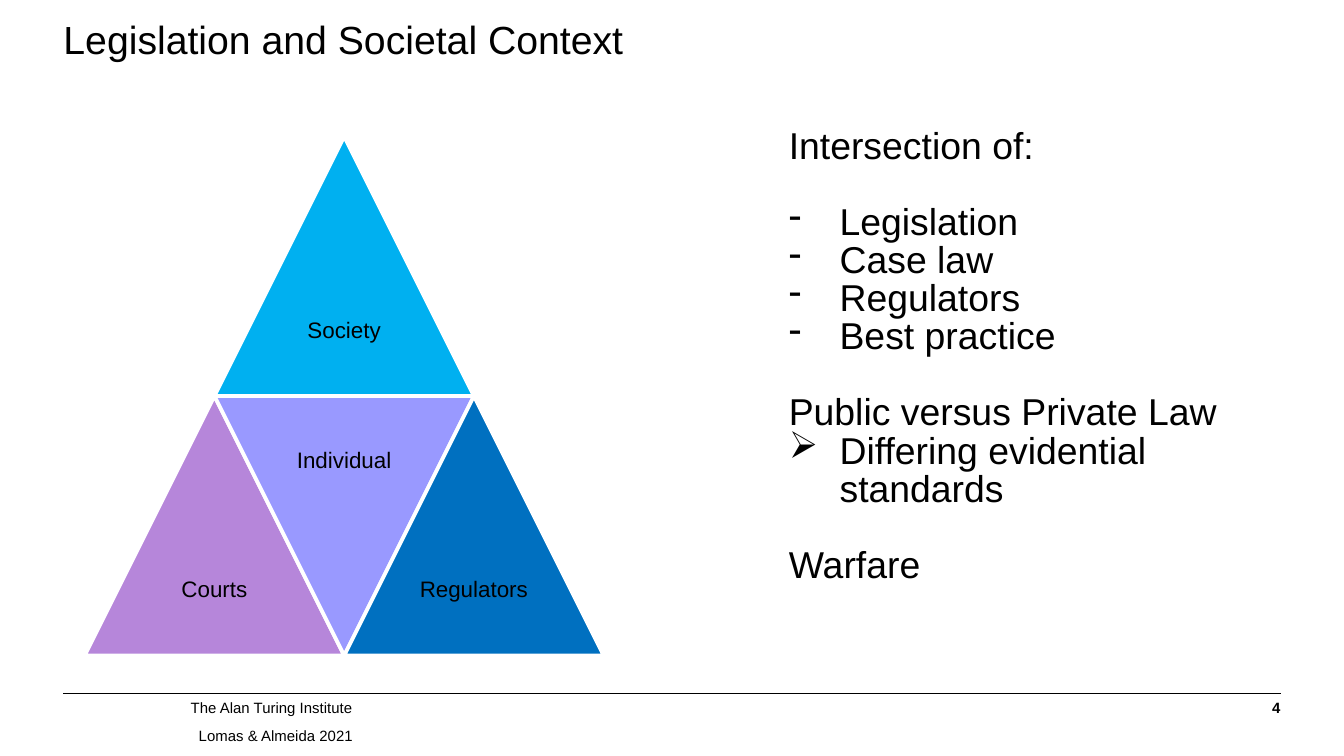
"""Build the slide on legislation and its societal context."""
import pptx
import pptx.util
import pptx.dml.color
import pptx.enum.shapes
import pptx.enum.text
import pptx.oxml.ns
from lxml import etree

Pt = pptx.util.Pt
RGB = pptx.dml.color.RGBColor
ALIGN = pptx.enum.text.PP_ALIGN
ANCHOR = pptx.enum.text.MSO_ANCHOR
SHAPE = pptx.enum.shapes.MSO_SHAPE
qn = pptx.oxml.ns.qn

BLACK = RGB(0x00, 0x00, 0x00)
WHITE = RGB(0xFF, 0xFF, 0xFF)
SKY = RGB(0x00, 0xB0, 0xF0)
PURPLE = RGB(0xB6, 0x86, 0xDA)
LAVENDER = RGB(0x99, 0x99, 0xFF)
BLUE = RGB(0x00, 0x70, 0xC0)


def add_text(p, text, size=12, bold=False, align=ALIGN.LEFT, line=1.0, before=0, after=0,
             bullet=None, indent=27.2):
    if bullet:
        pPr = p._p.get_or_add_pPr()
        pPr.set("marL", str(int(Pt(indent))))
        pPr.set("indent", str(-int(Pt(indent))))
        etree.SubElement(pPr, qn("a:buChar")).set("char", bullet)
    p.alignment = align
    p.line_spacing = line
    p.space_before = Pt(before)
    p.space_after = Pt(after)
    r = p.add_run()
    r.text = text
    r.font.name = "Arial"
    r.font.size = Pt(size)
    r.font.bold = bold
    r.font.color.rgb = BLACK


class Deck:
    def __init__(self, width, height):
        self.prs = pptx.Presentation()
        self.prs.slide_width = Pt(width)
        self.prs.slide_height = Pt(height)
        self.s = self.prs.slides.add_slide(self.prs.slide_layouts[5])

    def frame(self, sp, anchor, inset):
        tf = sp.text_frame
        tf.word_wrap = True
        tf.auto_size = pptx.enum.text.MSO_AUTO_SIZE.NONE
        tf.vertical_anchor = anchor
        tf.margin_left = tf.margin_right = Pt(inset[0])
        tf.margin_top = tf.margin_bottom = Pt(inset[1])
        return tf

    def title(self, text, x, y, w, h, **fmt):
        sp = self.s.shapes.title
        sp.left, sp.top, sp.width, sp.height = Pt(x), Pt(y), Pt(w), Pt(h)
        add_text(self.frame(sp, ANCHOR.TOP, (0, 0)).paragraphs[0], text, **fmt)

    def text(self, items, x, y, w, h, anchor=ANCHOR.TOP, inset=(0, 0), **fmt):
        sp = self.s.shapes.add_textbox(Pt(x), Pt(y), Pt(w), Pt(h))
        tf = self.frame(sp, anchor, inset)
        for i, (text, extra) in enumerate(items):
            p = tf.add_paragraph() if i else tf.paragraphs[0]
            add_text(p, text, **fmt, **extra)

    def triangle(self, x, y, size, color, flipped=False):
        sp = self.s.shapes.add_shape(SHAPE.ISOSCELES_TRIANGLE, Pt(x), Pt(y), Pt(size), Pt(size))
        sp.shadow.inherit = False
        sp.rotation = 180 if flipped else 0
        sp.fill.solid()
        sp.fill.fore_color.rgb = color
        sp.line.color.rgb = WHITE
        sp.line.width = Pt(2)

    def rule(self, x1, x2, y):
        kind = pptx.enum.shapes.MSO_CONNECTOR.STRAIGHT
        sp = self.s.shapes.add_connector(kind, Pt(x1), Pt(y), Pt(x2), Pt(y))
        sp.line.color.rgb = BLACK
        sp.line.width = Pt(0.5)
        etree.SubElement(sp._element.spPr, qn("a:effectLst"))


def main():
    deck = Deck(720, 405)
    deck.title("Legislation and Societal Context", 34, 12.2, 456.5, 71.3, size=21, line=0.85)

    deck.rule(34, 686, 371.5)
    deck.text([("The Alan Turing Institute", {})], 102.2, 372.2, 283.7, 11.5,
              anchor=ANCHOR.BOTTOM, size=8)
    deck.text([("4", {})], 643.7, 372.2, 42.3, 11.5,
              anchor=ANCHOR.BOTTOM, size=8, bold=True, align=ALIGN.RIGHT)
    deck.text([("Lomas & Almeida 2021", {})], 99.4, 385.9, 113, 17.3,
              inset=(7.2, 3.6), size=8, after=6)

    gap = {"before": 20.4}
    dash = {"bullet": "-"}
    deck.text([
        ("Intersection of:", {}),
        ("Legislation", dash | gap),
        ("Case law", dash),
        ("Regulators", dash),
        ("Best practice", dash),
        ("Public versus Private Law", gap),
        ("Differing evidential standards", {"bullet": "➢"}),
        ("Warfare", gap),
    ], 422.6, 69.1, 249.1, 254.9, size=20, line=0.85)

    left, top, side = 45.4, 73.2, 139
    half = side / 2
    for label, col, row, color, flipped in [
        ("Society", 1, 0, SKY, False),
        ("Courts", 0, 1, PURPLE, False),
        ("Individual", 1, 1, LAVENDER, True),
        ("Regulators", 2, 1, BLUE, False),
    ]:
        x, y = left + col * half, top + row * side
        deck.triangle(x, y, side, color, flipped)
        deck.text([(label, {})], x + half / 2, y if flipped else y + half, half, half,
                  anchor=ANCHOR.MIDDLE, inset=(3.6, 3.6), align=ALIGN.CENTER, line=0.9)

    deck.prs.save("out.pptx")


if __name__ == "__main__":
    main()
